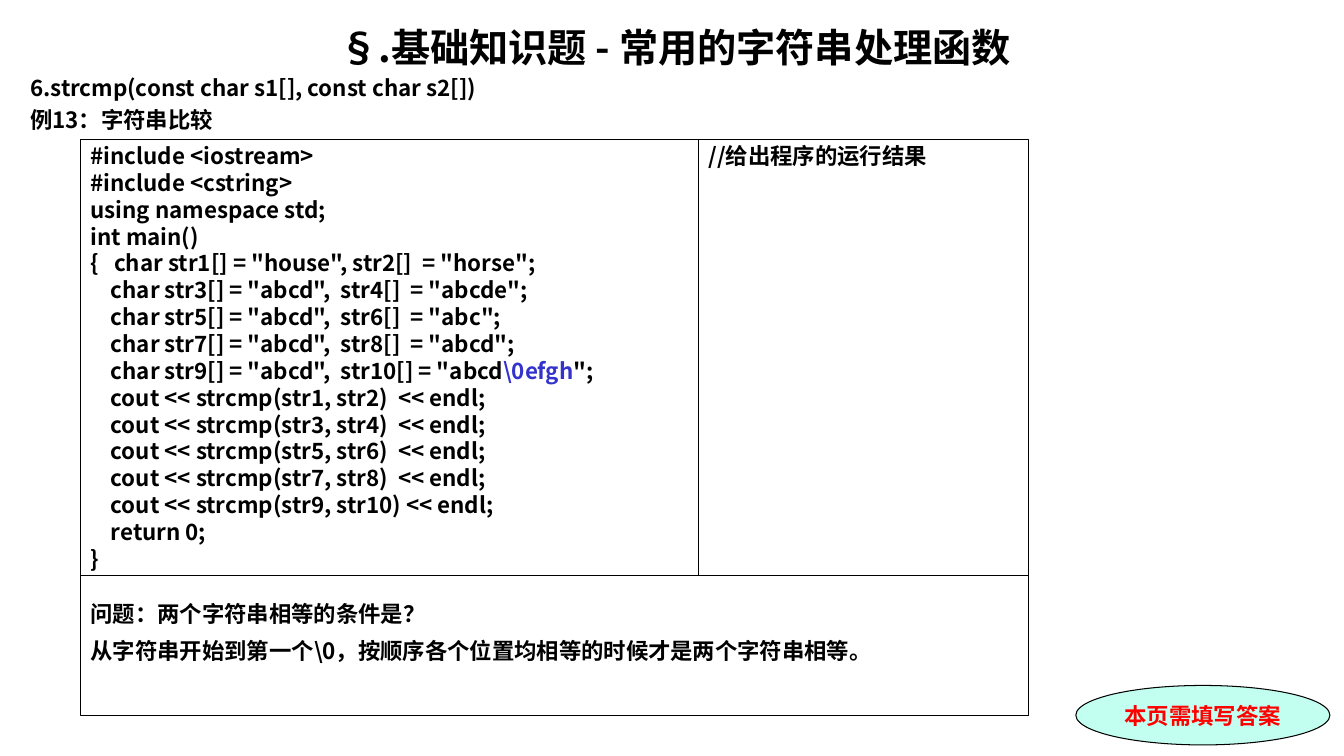
from dataclasses import dataclass

from pptx import Presentation
from pptx import util as u
from pptx.dml.color import RGBColor
from pptx.enum import shapes, text
from pptx.oxml.ns import qn


@dataclass(frozen=True)
class Theme:
    font: str = "Noto Sans CJK SC"
    badge_font: str = "Times New Roman"
    title_size: int = 28
    body_size: int = 16
    black: str = "000000"
    blue: str = "3333CC"
    red: str = "FF0000"
    mint: str = "C2FFF0"
    leading: float = 1.2


theme = Theme()
CODE = r"""#include <iostream>
#include <cstring>
using namespace std;
int main()
{   char str1[] = "house", str2[]  = "horse";
    char str3[] = "abcd",  str4[]  = "abcde";
    char str5[] = "abcd",  str6[]  = "abc";
    char str7[] = "abcd",  str8[]  = "abcd";
    char str9[] = "abcd",  str10[] = "abcd\0efgh";
    cout << strcmp(str1, str2)  << endl;
    cout << strcmp(str3, str4)  << endl;
    cout << strcmp(str5, str6)  << endl;
    cout << strcmp(str7, str8)  << endl;
    cout << strcmp(str9, str10) << endl;
    return 0;
}"""
HIGHLIGHT = r"\0efgh"


def write(shape, lines, size=theme.body_size, color=theme.black,
          font=theme.font, align=text.PP_ALIGN.LEFT, gap=0, top=0.03, side=0.1):
    """Fill a shape with lines, one paragraph each, in bold."""
    frame = shape.text_frame
    frame.word_wrap = True
    frame.auto_size = text.MSO_AUTO_SIZE.NONE
    frame.vertical_anchor = text.MSO_ANCHOR.TOP
    frame.margin_top, frame.margin_bottom = u.Inches(top), 0
    frame.margin_left = frame.margin_right = u.Inches(side)
    for index, line in enumerate(lines):
        paragraph = frame.paragraphs[0] if index == 0 else frame.add_paragraph()
        before, mark, after = line.partition(HIGHLIGHT)
        paragraph.text = before
        for part in filter(None, (mark, after)):
            paragraph.add_run().text = part
        paragraph.alignment = align
        paragraph.line_spacing = u.Pt(size * theme.leading)
        paragraph.space_before = u.Pt(gap if index else 0)
        for run in paragraph.runs:
            run.font.name = font
            run.font.size = u.Pt(size)
            run.font.bold = True
            run_color = theme.blue if run.text == HIGHLIGHT else color
            run.font.color.rgb = RGBColor.from_string(run_color)
            east_asian = run.font._element.makeelement(
                qn("a:ea"), {"typeface": theme.font})
            run.font._element.find(qn("a:latin")).addnext(east_asian)


def outlined(kind, left, top, right, bottom, fill=None):
    """Add a thinly outlined shape between two corners."""
    shape = slide.shapes.add_shape(
        kind, *map(u.Inches, (left, top, right - left, bottom - top)))
    shape.shadow.inherit = False
    shape.line.color.rgb = RGBColor.from_string(theme.black)
    shape.line.width = u.Pt(0.75)
    if fill:
        shape.fill.solid()
        shape.fill.fore_color.rgb = RGBColor.from_string(fill)
    else:
        shape.fill.background()
    return shape


presentation = Presentation()
presentation.slide_width = u.Inches(13.33)
presentation.slide_height = u.Inches(7.5)
slide = presentation.slides.add_slide(presentation.slide_layouts[5])

# Title and the two lines under it
text_left, text_width = u.Inches(0.2), u.Inches(12.99)
title = slide.shapes.title
title.left, title.top = text_left, u.Inches(0.18)
title.width, title.height = text_width, u.Inches(0.55)
write(title, ["§.基础知识题 - 常用的字符串处理函数"], size=theme.title_size,
      align=text.PP_ALIGN.CENTER, top=0.05)
intro = slide.shapes.add_textbox(
    text_left, u.Inches(0.69), text_width, u.Inches(0.68))
write(intro, ["6.strcmp(const char s1[], const char s2[])", "例13：字符串比较"],
      gap=3.2, top=0.05)

# Code, result and question panels on a shared grid
columns = (0.8, 6.93, 10.2)
rows = (1.38, 5.71, 7.1)
panel = shapes.MSO_SHAPE.RECTANGLE
code = outlined(panel, columns[0], rows[0], columns[1], rows[1])
write(code, CODE.splitlines())
question = outlined(panel, columns[0], rows[1], columns[2], rows[2])
write(question, ["问题：两个字符串相等的条件是？",
                 r"从字符串开始到第一个\0，按顺序各个位置均相等的时候才是两个字符串相等。"],
      gap=7.5, top=0.24)
result = outlined(panel, columns[1], rows[0], columns[2], rows[1])
write(result, ["//给出程序的运行结果"])

# Reminder badge
badge = outlined(shapes.MSO_SHAPE.OVAL, 10.67, 6.8, 13.19, 7.39, theme.mint)
write(badge, ["本页需填写答案"], color=theme.red, font=theme.badge_font,
      align=text.PP_ALIGN.CENTER, top=0, side=0)
badge.text_frame.vertical_anchor = text.MSO_ANCHOR.MIDDLE

presentation.save("out.pptx")
